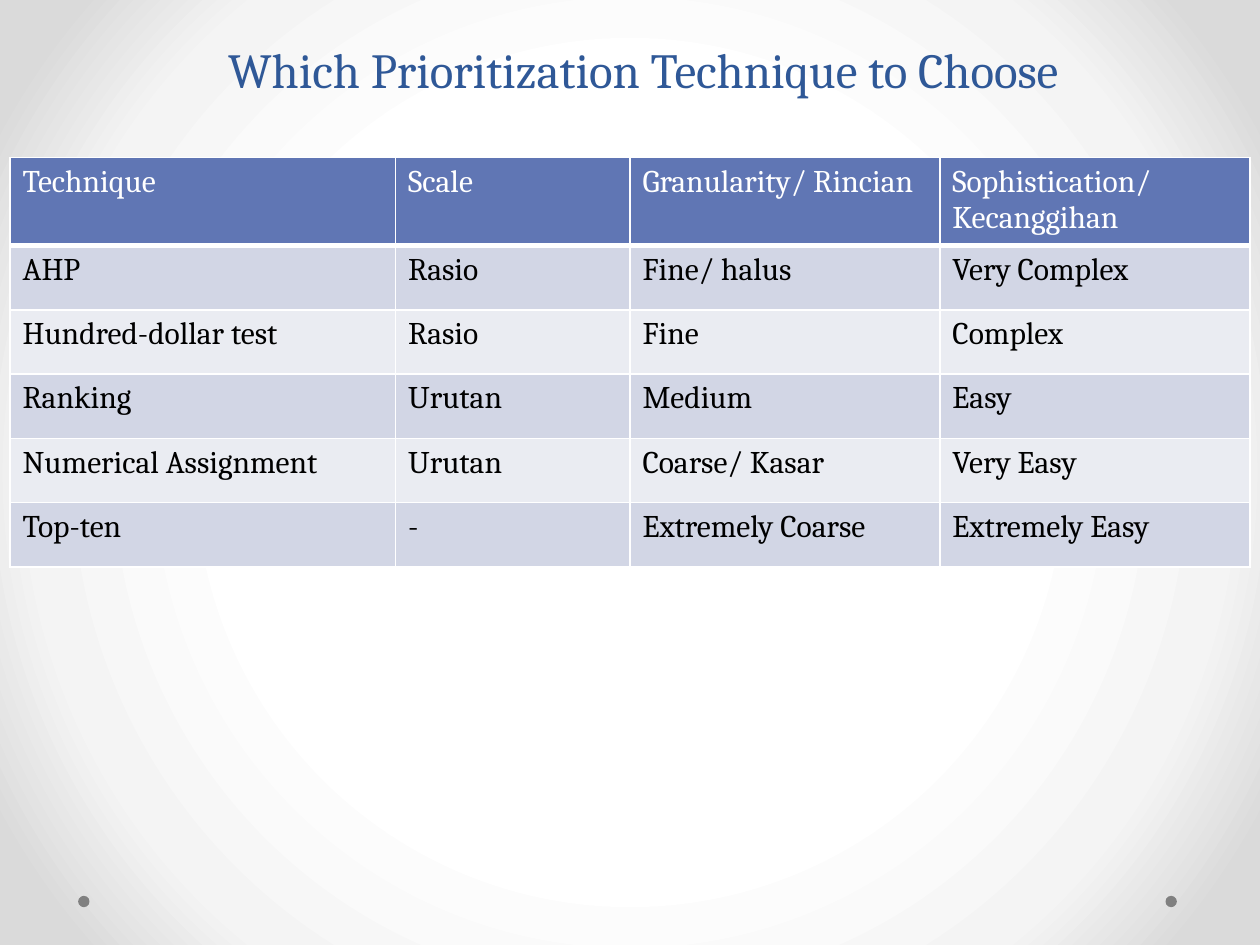
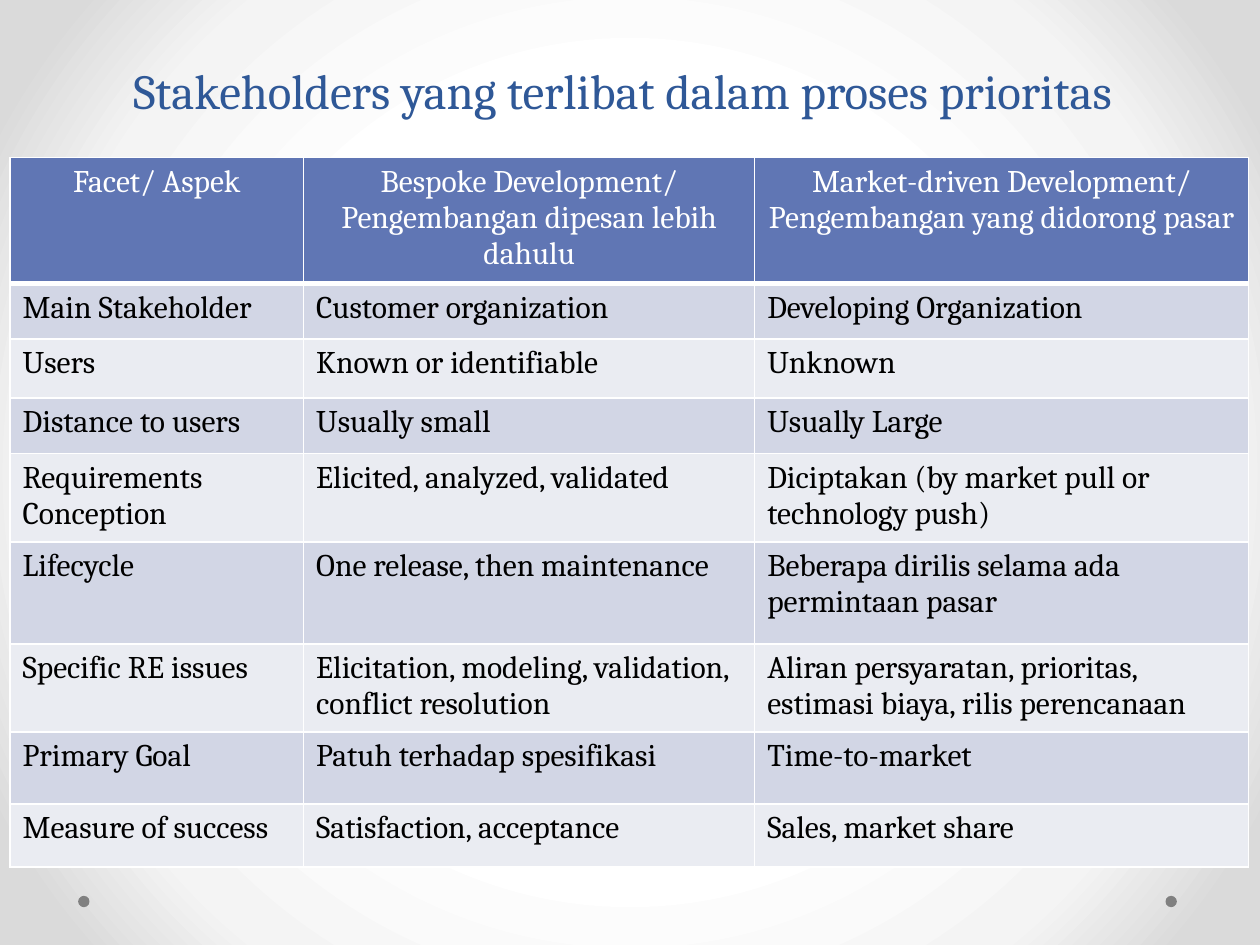
from dataclasses import dataclass

from lxml import etree
from pptx import Presentation
from pptx.dml.color import RGBColor
from pptx.enum import shapes, text
from pptx.oxml import ns
from pptx.util import Inches, Pt

FONT = "Cambria"
WHITE = RGBColor(0xFF, 0xFF, 0xFF)
BLACK = RGBColor(0x00, 0x00, 0x00)
TITLE_BLUE = RGBColor(0x2F, 0x58, 0x97)
HEADER_BLUE = RGBColor(0x60, 0x76, 0xB4)
BAND_DARK = RGBColor(0xD2, 0xD6, 0xE5)
BAND_LIGHT = RGBColor(0xEA, 0xEC, 0xF2)
DOT_GREY = RGBColor(0x80, 0x80, 0x80)
GLOW = [(50, WHITE), (76, RGBColor(0xF4, 0xF4, 0xF4)), (92, RGBColor(0xDA, 0xDA, 0xDA))]

DOT_LEFTS = (0.62, 9.25)
DOT_TOP = 7.11
DOT_SIZE = 0.09
TABLE_LEFT = 0.08
TABLE_TOP = 1.25


@dataclass
class TableSlide:
    title: str
    title_box: tuple[float, float, float, float]
    cols: list[float]
    heights: list[float]
    rows: list[tuple[str, ...]]
    header_align: text.PP_ALIGN = text.PP_ALIGN.LEFT


SLIDES = [
    TableSlide(
        "Which Prioritization Technique to Choose",
        (0.33, 0.33, 9.5, 0.5),
        [3.06, 1.86, 2.46, 2.46],
        [0.51] * 6,
        [
            ("Technique", "Scale", "Granularity/ Rincian", "Sophistication/ Kecanggihan"),
            ("AHP", "Rasio", "Fine/ halus", "Very Complex"),
            ("Hundred-dollar test", "Rasio", "Fine", "Complex"),
            ("Ranking", "Urutan", "Medium", "Easy"),
            ("Numerical Assignment", "Urutan", "Coarse/ Kasar", "Very Easy"),
            ("Top-ten", "-", "Extremely Coarse", "Extremely Easy"),
        ],
    ),
    TableSlide(
        "Stakeholders yang terlibat dalam proses prioritas",
        (0, 0.33, 9.83, 0.67),
        [2.33, 3.58, 3.92],
        [0.81, 0.44, 0.47, 0.44, 0.67, 0.81, 0.67, 0.57, 0.5],
        [
            ("Facet/ Aspek", "Bespoke Development/ Pengembangan dipesan lebih dahulu",
             "Market-driven Development/ Pengembangan yang didorong pasar"),
            ("Main Stakeholder", "Customer organization", "Developing Organization"),
            ("Users", "Known or identifiable", "Unknown"),
            ("Distance to users", "Usually small", "Usually Large"),
            ("Requirements Conception", "Elicited, analyzed, validated",
             "Diciptakan (by market pull or technology push)"),
            ("Lifecycle", "One release, then maintenance",
             "Beberapa dirilis selama ada permintaan pasar"),
            ("Specific RE issues", "Elicitation, modeling, validation, conflict resolution",
             "Aliran persyaratan, prioritas, estimasi biaya, rilis perencanaan"),
            ("Primary Goal", "Patuh terhadap spesifikasi", "Time-to-market"),
            ("Measure of success", "Satisfaction, acceptance", "Sales, market share"),
        ],
        text.PP_ALIGN.CENTER,
    ),
]


def add_sub(parent, tag: str, **attrs):
    return etree.SubElement(parent, ns.qn(tag), {k: str(v) for k, v in attrs.items()})


def write(tf, content: str, *, size: float, color: RGBColor,
          align: text.PP_ALIGN = text.PP_ALIGN.LEFT, line: float | None = None,
          indent: float = 0) -> None:
    tf.word_wrap = True
    p = tf.paragraphs[0]
    p.alignment = align
    if line:
        p.line_spacing = Pt(line)
    if indent:
        p._p.get_or_add_pPr().set("marL", str(Inches(indent)))
    r = p.add_run()
    r.text = content
    r.font.name = FONT
    r.font.size = Pt(size)
    r.font.color.rgb = color


def paint_background(s) -> None:
    s.background.fill.gradient()
    grad = s.background._cSld.find(".//" + ns.qn("a:gradFill"))
    for child in list(grad):
        grad.remove(child)
    stops = add_sub(grad, "a:gsLst")
    for pos, color in GLOW:
        add_sub(add_sub(stops, "a:gs", pos=pos * 1000), "a:srgbClr", val=color)
    glow = add_sub(grad, "a:path", path="circle")
    add_sub(glow, "a:fillToRect", l=50000, t=50000, r=50000, b=50000)


def add_dot(s, left: float) -> None:
    sp = s.shapes.add_shape(shapes.MSO_SHAPE.OVAL, Inches(left), Inches(DOT_TOP),
                            Inches(DOT_SIZE), Inches(DOT_SIZE))
    sp.shadow.inherit = False
    sp.fill.solid()
    sp.fill.fore_color.rgb = DOT_GREY
    sp.line.fill.background()


def add_title(s, spec_slide: TableSlide) -> None:
    tf = s.shapes.add_textbox(*map(Inches, spec_slide.title_box)).text_frame
    tf.vertical_anchor = text.MSO_ANCHOR.BOTTOM
    write(tf, spec_slide.title, size=28, color=TITLE_BLUE,
          align=text.PP_ALIGN.CENTER, line=58, indent=0.05)


def set_borders(cell, bottom: float) -> None:
    tc_pr = cell._tc.get_or_add_tcPr()
    for side, width in (("L", 1), ("R", 1), ("T", 1), ("B", bottom)):
        ln = add_sub(tc_pr, f"a:ln{side}", w=Pt(width))
        add_sub(add_sub(ln, "a:solidFill"), "a:srgbClr", val=WHITE)


def add_grid(s, data: TableSlide) -> None:
    table = s.shapes.add_table(len(data.rows), len(data.cols), Inches(TABLE_LEFT),
                               Inches(TABLE_TOP), Inches(sum(data.cols)),
                               Inches(sum(data.heights))).table
    for col, width in zip(table.columns, data.cols):
        col.width = Inches(width)
    for i, (row, height, values) in enumerate(zip(table.rows, data.heights, data.rows)):
        row.height = Inches(height)
        header = i == 0
        fill = HEADER_BLUE if header else BAND_DARK if i % 2 else BAND_LIGHT
        for cell, value in zip(row.cells, values):
            set_borders(cell, 3 if header else 1)
            cell.fill.solid()
            cell.fill.fore_color.rgb = fill
            write(cell.text_frame, value, size=18, color=WHITE if header else BLACK,
                  align=data.header_align if header else text.PP_ALIGN.LEFT)


def main() -> None:
    prs = Presentation()
    prs.slide_width, prs.slide_height = Inches(10), Inches(7.5)
    for data in SLIDES:
        s = prs.slides.add_slide(prs.slide_layouts[6])
        paint_background(s)
        for left in DOT_LEFTS:
            add_dot(s, left)
        add_title(s, data)
        add_grid(s, data)
    prs.save("out.pptx")


if __name__ == "__main__":
    main()
